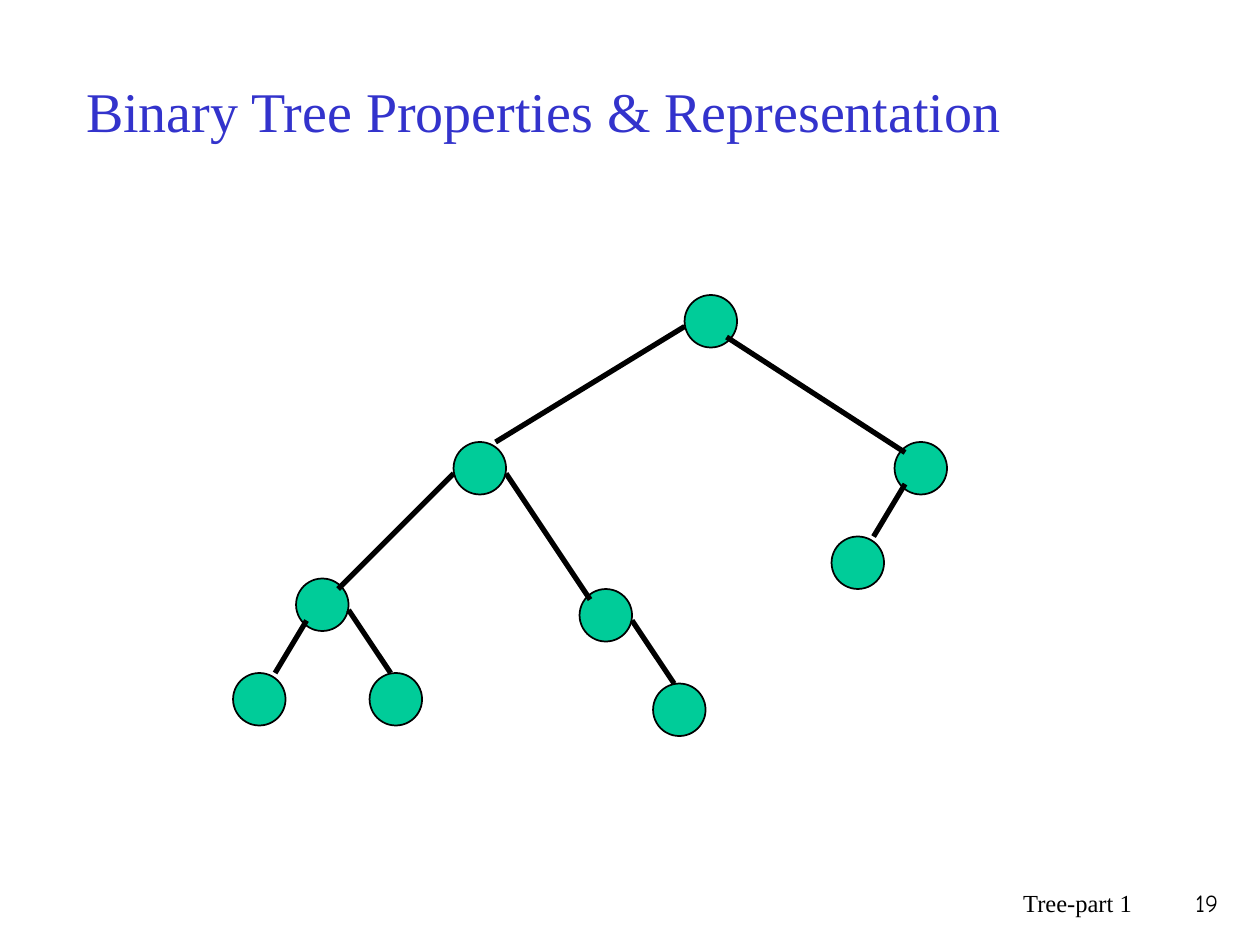
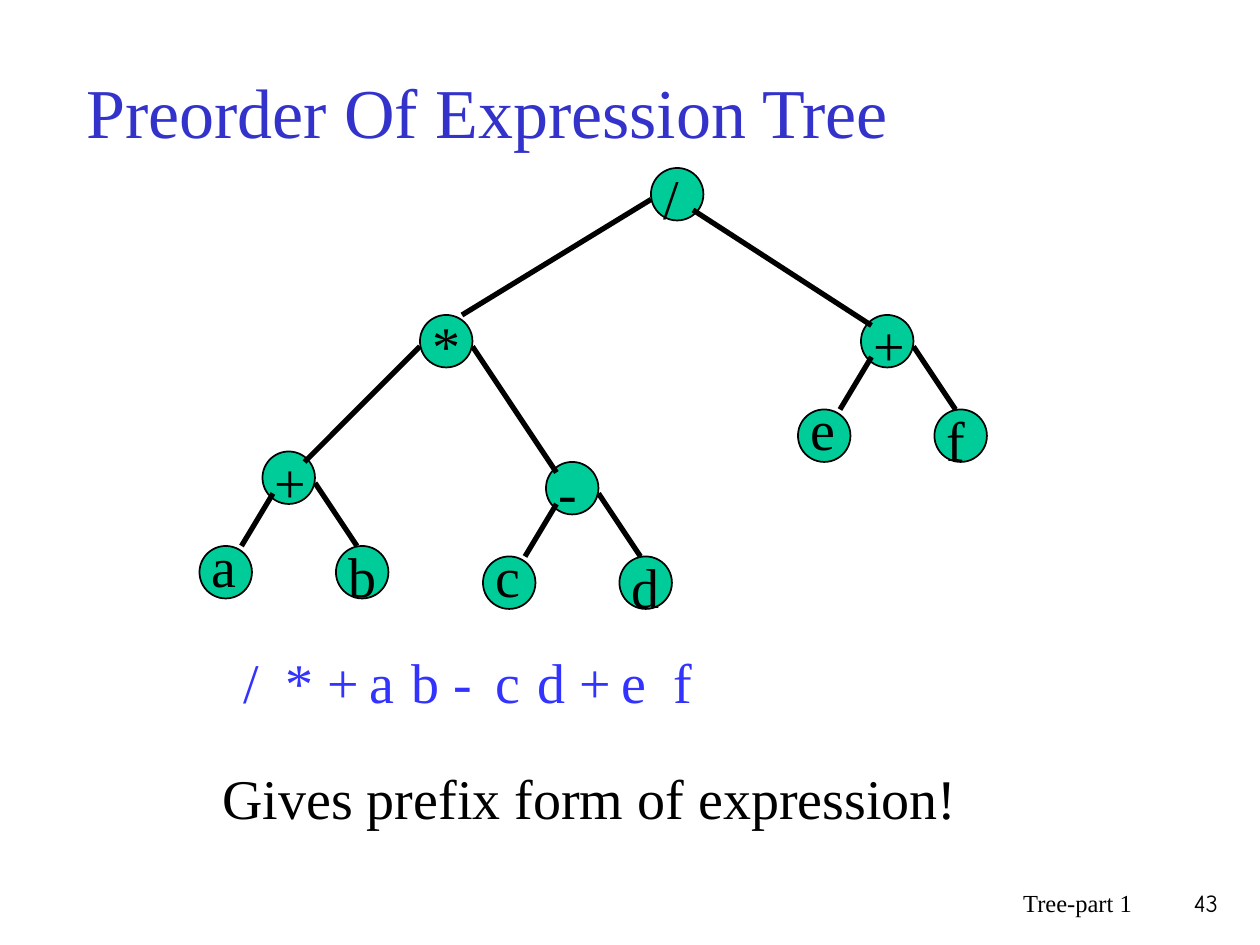
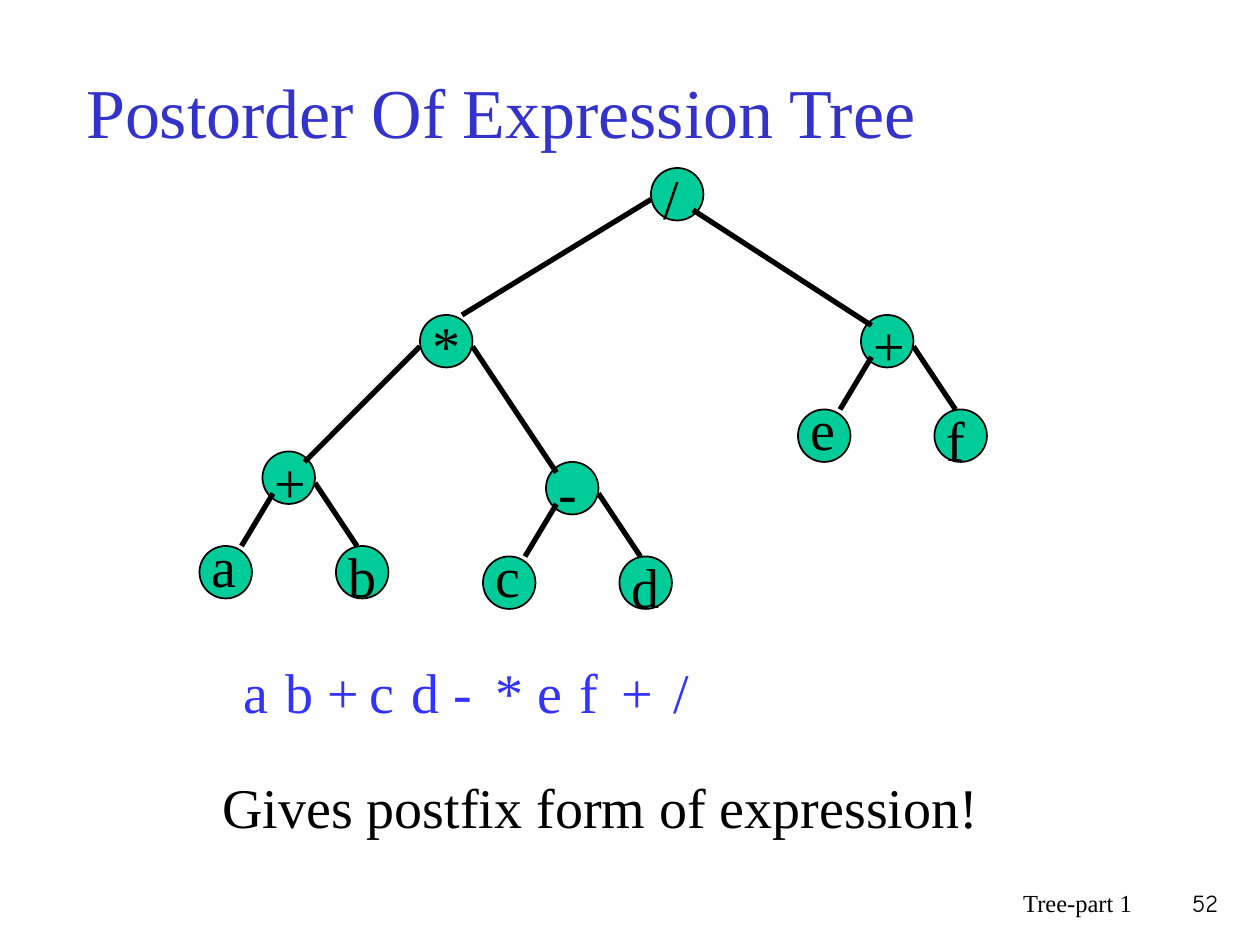
from typing import NamedTuple

from lxml.etree import SubElement
from pptx import Presentation
from pptx.dml.color import RGBColor
from pptx.enum.shapes import MSO_CONNECTOR, MSO_SHAPE
from pptx.enum.text import MSO_ANCHOR, MSO_AUTO_SIZE, PP_ALIGN
from pptx.oxml.ns import qn
from pptx.util import Emu, Pt

PX = 7620  # 120 px to the inch
TITLE_BLUE, ORDER_BLUE, NODE_GREEN, BLACK = "3333CC", "3333FF", "00CC99", "000000"
SERIF, COMIC = "Times New Roman", "Comic Neue"
NODE_SIZE, LETTER_HEIGHT, ORDER_STEP = 50, 75, 40


class Branch(NamedTuple):
    """A child's shift from its parent, and the edge's ends within each node."""
    shift: tuple
    tail: tuple
    head: tuple


LEFT_LEAF = Branch((-60, 90), (10, 40), (40, 0))
RIGHT_LEAF = Branch((70, 90), (50, 30), (20, 0))

# name: (symbol, parent, branch)
TREE = {
    "divide": ("/", None, None),
    "times": ("*", "divide", Branch((-220, 140), (0, 30), (40, 0))),
    "right plus": ("+", "divide", Branch((200, 140), (40, 40), (10, 10))),
    "left plus": ("+", "times", Branch((-150, 130), (0, 30), (40, 10))),
    "minus": ("-", "times", Branch((120, 140), (50, 30), (10, 10))),
    "a": ("a", "left plus", LEFT_LEAF),
    "b": ("b", "left plus", RIGHT_LEAF),
    "c": ("c", "minus", LEFT_LEAF),
    "d": ("d", "minus", RIGHT_LEAF),
    "e": ("e", "right plus", LEFT_LEAF),
    "f": ("f", "right plus", RIGHT_LEAF),
}


def px(*lengths):
    return [Emu(length * PX) for length in lengths]


def color(value):
    return RGBColor.from_string(value)


def shifted(point, step):
    return point[0] + step[0], point[1] + step[1]


def write(frame, text, size, hue=BLACK, font=SERIF, align=PP_ALIGN.LEFT):
    frame.word_wrap = True
    para = frame.paragraphs[0]
    para.alignment = align
    span = para.add_run()
    span.text = text
    span.font.size = Pt(size)
    span.font.name = font
    span.font.color.rgb = color(hue)


def add_text(shapes, box, text, size, grow=False, **style):
    frame = shapes.add_textbox(*px(*box)).text_frame
    write(frame, text, size, **style)
    frame.auto_size = MSO_AUTO_SIZE.SHAPE_TO_FIT_TEXT if grow else MSO_AUTO_SIZE.NONE


def add_node(shapes, corner):
    node = shapes.add_shape(MSO_SHAPE.OVAL, *px(*corner, NODE_SIZE, NODE_SIZE))
    node.shadow.inherit = False
    node.fill.solid()
    node.fill.fore_color.rgb = color(NODE_GREEN)
    node.line.color.rgb = color(BLACK)
    node.line.width = Pt(1)


def add_edge(shapes, start, end):
    edge = shapes.add_connector(MSO_CONNECTOR.STRAIGHT, *px(*start, *end))
    edge.line.color.rgb = color(BLACK)
    edge.line.width = Pt(3)
    SubElement(edge._element.spPr, qn("a:effectLst"))


def add_tree(slide, root, omitted=(), lettered=True):
    shapes = slide.shapes.add_group_shape().shapes
    corners, edges = {}, []
    for name, (symbol, parent, branch) in TREE.items():
        if name in omitted:
            continue
        corner = root
        if parent:
            corner = shifted(corners[parent], branch.shift)
            edges.append((shifted(corners[parent], branch.tail),
                          shifted(corner, branch.head)))
        corners[name] = corner
        add_node(shapes, corner)
        if lettered:
            lift = 20 if branch is LEFT_LEAF else 10
            box = (*shifted(corner, (0, -lift)), NODE_SIZE, LETTER_HEIGHT)
            add_text(shapes, box, symbol, 32, grow=True)
    for start, end in edges:
        add_edge(shapes, start, end)


def add_order(slide, left, top, symbols, caption):
    """Spread the visited symbols in a row, with the caption below it."""
    add_text(slide.shapes, (left, top + 110, 770, LETTER_HEIGHT), caption, 32, grow=True)
    for index, symbol in enumerate(symbols):
        extra = 10 if index == len(symbols) - 1 else 0
        box = (left + 20 + index * ORDER_STEP + extra, top, NODE_SIZE, LETTER_HEIGHT)
        add_text(slide.shapes, box, symbol, 32, grow=True, hue=ORDER_BLUE)


def add_page(deck, title, size, number):
    """Start a slide with its title and footer."""
    page = deck.slides.add_slide(deck.slide_layouts[5])
    heading = page.shapes.title
    heading.left, heading.top, heading.width, heading.height = px(70, 30, 1020, 150)
    frame = heading.text_frame
    frame.vertical_anchor = MSO_ANCHOR.MIDDLE
    frame.auto_size = MSO_AUTO_SIZE.NONE
    write(frame, title, size, hue=TITLE_BLUE)
    add_text(page.shapes, (710, 840, 380, 60), "Tree-part 1", 14, align=PP_ALIGN.RIGHT)
    add_text(page.shapes, (1090, 840, 82, 60), number, 14, font=COMIC, align=PP_ALIGN.RIGHT)
    return page


def add_traversal_page(deck, title, number, order_top, symbols, caption):
    page = add_page(deck, title, 40, number)
    add_tree(page, (620, 160))
    add_order(page, 200, order_top, symbols, caption)


def main():
    deck = Presentation()
    deck.slide_width, deck.slide_height = px(1200, 900)
    page = add_page(deck, "Binary Tree Properties & Representation", 32, "19")
    add_tree(page, (652, 281), omitted=("c", "f"), lettered=False)
    add_traversal_page(deck, "Preorder Of Expression Tree", "43", 611,
                       "/*+ab-cd+ef", "Gives prefix form of expression!")
    add_traversal_page(deck, "Postorder Of Expression Tree", "52", 620,
                       "ab+cd-*ef+/", "Gives postfix form of expression!")
    deck.save("out.pptx")


if __name__ == "__main__":
    main()
